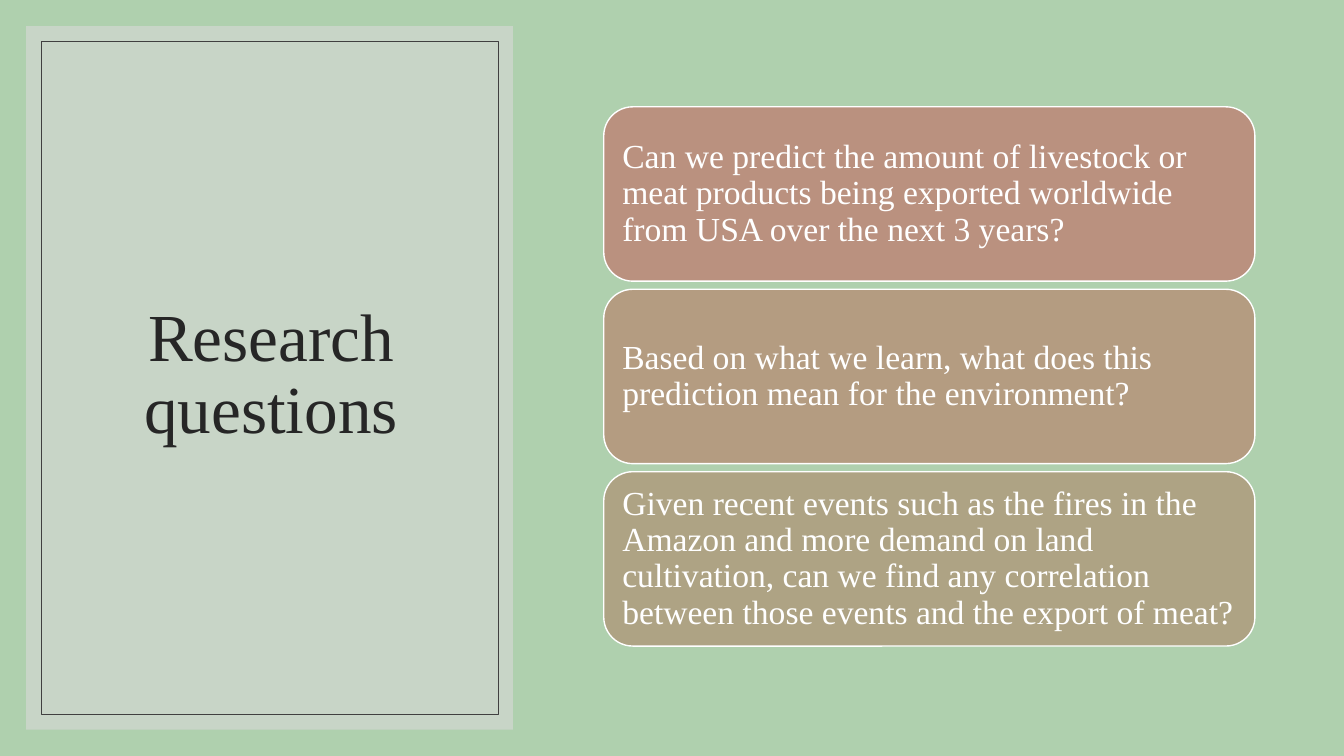
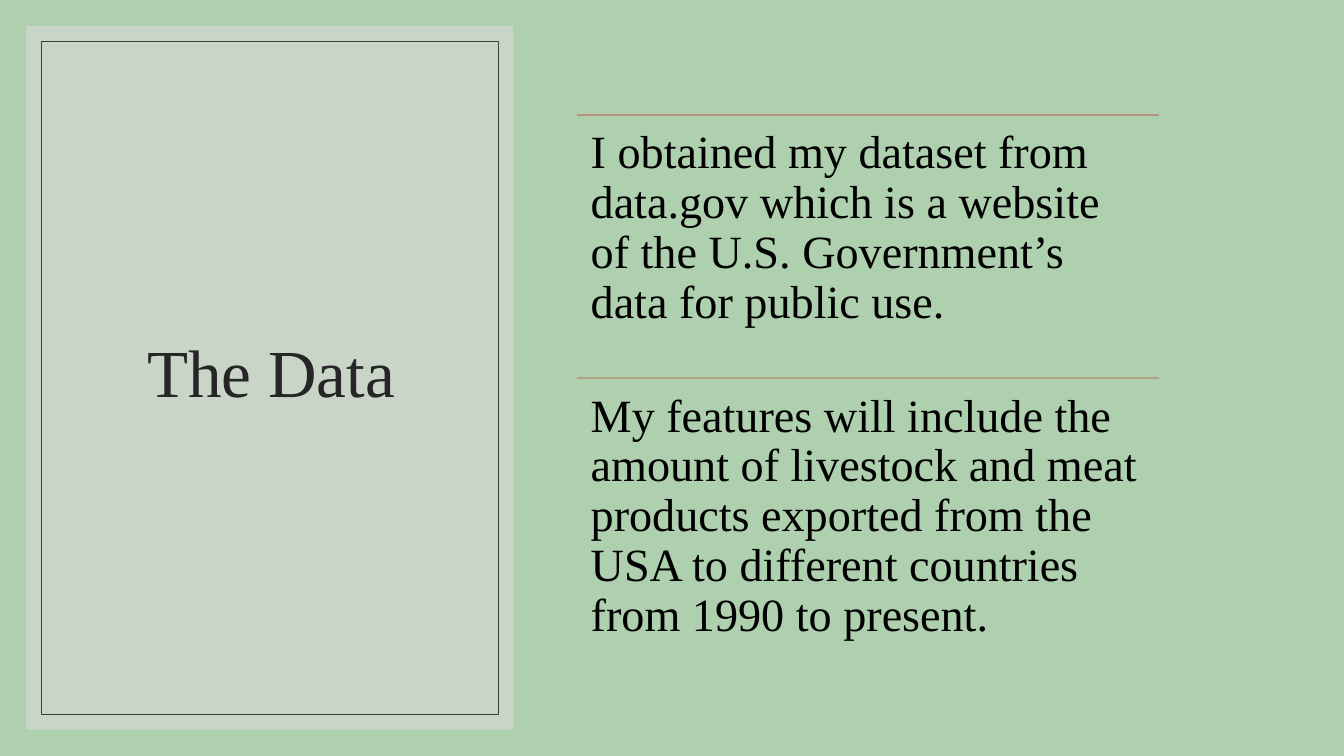
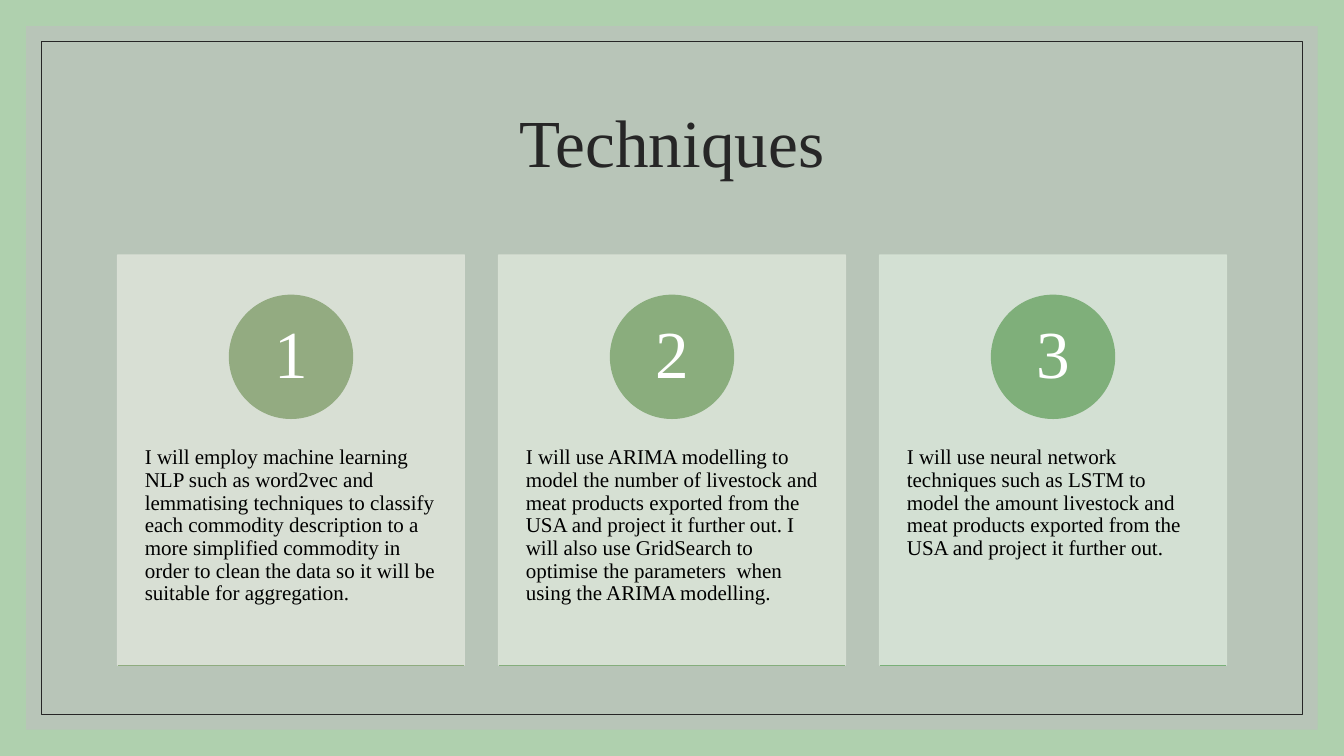
import pptx
import pptx.util
import pptx.dml.color
import pptx.enum.shapes
import pptx.enum.text
import pptx.oxml.ns
from lxml import etree

SHAPES = pptx.enum.shapes.MSO_SHAPE
ALIGN = pptx.enum.text.PP_ALIGN
ANCHOR = pptx.enum.text.MSO_ANCHOR
qn = pptx.oxml.ns.qn

COLUMNS, ROWS = 80, 45
PANEL_MARGIN, FRAME_MARGIN = 1.56, 2.46
SIDE_WIDTH = 28.98

QUESTIONS = [
    ("BA917F", "Can we predict the amount of livestock or meat products being "
               "exported worldwide from USA over the next 3 years?"),
    ("B49C81", "Based on what we learn, what does this prediction mean for the environment?"),
    ("AEA384", "Given recent events such as the fires in the Amazon and more demand on land "
               "cultivation, can we find any correlation between those events and the export of meat?"),
]
DATA_POINTS = [
    ("BA917F", "I obtained my dataset from data.gov which is a website of the "
               "U.S. Government’s data for public use."),
    ("AEA384", "My features will include the amount of livestock and meat products "
               "exported from the USA to different countries from 1990 to present."),
]
TECHNIQUES = [
    ("DCE2D8", "93AB81", "8FAC7F",
     "I will employ machine learning NLP such as word2vec and lemmatising techniques to classify "
     "each commodity description to a more simplified commodity in order to clean the data so it "
     "will be suitable for aggregation."),
    ("DAE3D7", "8AAD7D", "85AE7C",
     "I will use ARIMA modelling to model the number of livestock and meat products exported from "
     "the USA and project it further out. I will also use GridSearch to optimise the parameters  "
     "when using the ARIMA modelling."),
    ("D7E4D6", "7FAF7A", "79B078",
     "I will use neural network techniques such as LSTM to model the amount livestock and meat "
     "products exported from the USA and project it further out."),
]


def colour(value):
    return pptx.dml.color.RGBColor.from_string(value)


class Board:
    """Shared style and the current slide; lengths are grid columns and rows."""
    font = "Times New Roman"
    background = "AFD0AE"
    ink = "262626"

    def __init__(self):
        self.deck = pptx.Presentation()
        self.deck.slide_width = pptx.util.Inches(13.333)
        self.deck.slide_height = pptx.util.Inches(7.5)
        self.page = None

    def add_page(self):
        self.page = self.deck.slides.add_slide(self.deck.slide_layouts[6])
        fill = self.page.background.fill
        fill.solid()
        fill.fore_color.rgb = colour(self.background)

    def x(self, columns):
        return round(self.deck.slide_width * columns / COLUMNS)

    def y(self, rows):
        return round(self.deck.slide_height * rows / ROWS)

    def place(self, left, top, width, height):
        return self.x(left), self.y(top), self.x(width), self.y(height)

    def shape(self, kind, area, fill=None, line=None, weight=1, opacity=100):
        shape = self.page.shapes.add_shape(kind, *self.place(*area))
        shape.shadow.inherit = False
        for paint, value in ((shape.fill, fill), (shape.line.fill, line)):
            if value:
                paint.solid()
                paint.fore_color.rgb = colour(value)
            else:
                paint.background()
        if line:
            shape.line.width = pptx.util.Pt(weight)
        if opacity < 100:
            for tint in shape.element.iter(qn("a:srgbClr")):
                etree.SubElement(tint, qn("a:alpha"), val=str(opacity * 1000))
        return shape

    def label(self, box, text, size, ink, insets, align=ALIGN.LEFT, anchor=ANCHOR.MIDDLE):
        """Fill a shape or text box with one paragraph; insets are left/right and top."""
        side, top = insets
        frame = box.text_frame
        para = frame.paragraphs[0]
        span = para.add_run()
        formats = [
            (frame, {"word_wrap": True, "vertical_anchor": anchor,
                     "margin_left": self.x(side), "margin_right": self.x(side),
                     "margin_top": self.y(top), "margin_bottom": self.y(min(top, side))}),
            (para, {"alignment": align, "line_spacing": 0.9}),
            (span, {"text": text}),
            (span.font, {"name": self.font, "size": pptx.util.Pt(size)}),
            (span.font.color, {"rgb": colour(ink)}),
        ]
        for target, values in formats:
            for name, value in values.items():
                setattr(target, name, value)

    def text(self, area, *content, **layout):
        box = self.page.shapes.add_textbox(*self.place(*area))
        self.label(box, *content, **layout)

    def rule(self, left, top, width, line):
        connector = self.page.shapes.add_connector(
            pptx.enum.shapes.MSO_CONNECTOR.STRAIGHT,
            self.x(left), self.y(top), self.x(left + width), self.y(top))
        connector.line.color.rgb = colour(line)
        connector.line.width = pptx.util.Pt(1)
        etree.SubElement(connector.element.spPr, qn("a:effectLst"))

    def panel(self, title, title_area, width, fill, line):
        """Translucent panel with a thin inner frame and the slide title."""
        gap = FRAME_MARGIN - PANEL_MARGIN
        for margin, inner, style in (
                (PANEL_MARGIN, width, {"fill": fill, "opacity": 60}),
                (FRAME_MARGIN, width - 2 * gap, {"line": line, "weight": 0.5})):
            self.shape(SHAPES.RECTANGLE, (margin, margin, inner, ROWS - 2 * margin), **style)
        self.text(title_area, title, 48, self.ink, (0.6, 0.3), align=ALIGN.CENTER)

    def side_panel(self, title):
        self.panel(title, (3.78, 3.66, 24.72, 37.44), SIDE_WIDTH, "D9D9D9", "404040")

    def full_panel(self, title):
        self.panel(title, (7, 4.2, 66, 9), COLUMNS - 2 * PANEL_MARGIN, "BFBFBF", self.ink)

    def question(self, index, fill, text):
        box = self.shape(SHAPES.ROUNDED_RECTANGLE,
                         (35.94, 6.36 + index * 10.86, 38.76, 10.38), fill, "FFFFFF")
        self.label(box, text, 24, "FFFFFF", (0.6, 0.6))

    def data_point(self, index, line, text):
        left, width, pitch = 34.32, 34.68, 15.66
        top = 6.84 + index * pitch
        self.rule(left, top, width, line)
        self.text((left, top, width, pitch), text, 33, "000000", (0.84, 0.84),
                  anchor=ANCHOR.TOP)

    def technique(self, index, fill, badge_fill, line, text):
        width, height, badge = 20.64, 24.42, 7.32
        left, top = 7 + index * 22.68, 15.18
        card = self.shape(SHAPES.RECTANGLE, (left, top, width, height), fill, fill, opacity=90)
        self.label(card, text, 15, "000000", (1.62, 11.4), anchor=ANCHOR.TOP)
        circle = self.shape(SHAPES.OVAL, (left + (width - badge) / 2, top + 2.4, badge, badge),
                            badge_fill, badge_fill)
        self.label(circle, str(index + 1), 48, "FFFFFF", (0.6, 0.06), align=ALIGN.CENTER)
        self.rule(left, top + height, width, line)


def main():
    board = Board()
    for title, panel, element, items in (
            ("Research questions", board.side_panel, board.question, QUESTIONS),
            ("The Data", board.side_panel, board.data_point, DATA_POINTS),
            ("Techniques", board.full_panel, board.technique, TECHNIQUES)):
        board.add_page()
        panel(title)
        for index, item in enumerate(items):
            element(index, *item)
    board.deck.save("out.pptx")


if __name__ == "__main__":
    main()
